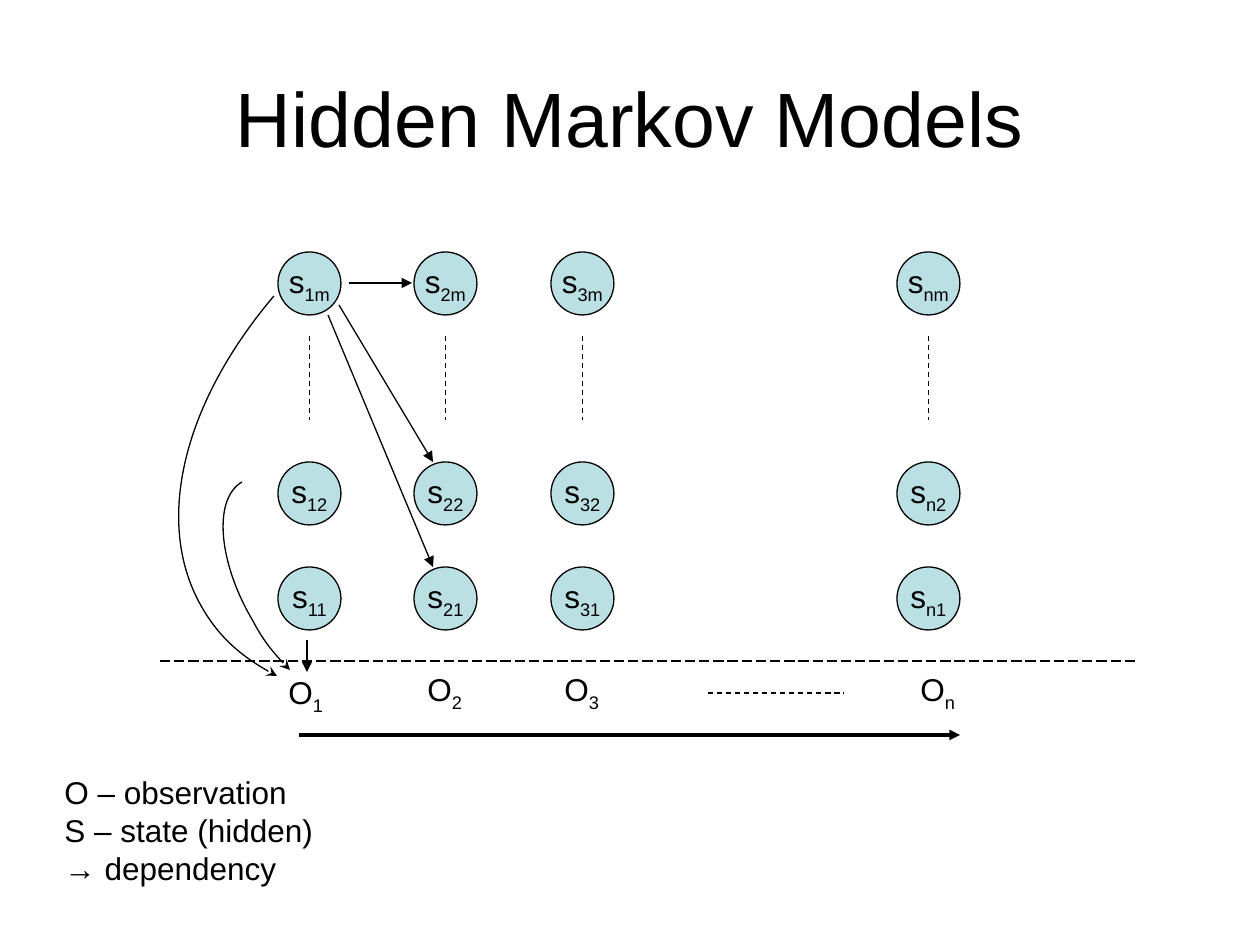
from lxml import etree
from pptx import Presentation
from pptx import util as u
from pptx.dml.color import RGBColor
from pptx.enum import dml, shapes, text
from pptx.oxml.ns import qn

SCALE = 914400 / 126  # EMU per px


def px(length):
    return u.Emu(round(length * SCALE))


def color(value):
    return RGBColor.from_string(value)


def write(paragraph, words, subscript="", size=18, font="Arial", ink="000000",
          align=text.PP_ALIGN.LEFT):
    """Write words and an optional subscript into a paragraph."""
    paragraph.alignment = align
    for part, baseline in ((words, None), (subscript, "-25000")):
        if not part:
            continue
        run = paragraph.add_run()
        run.text = part
        run.font.size = u.Pt(size)
        run.font.name = font
        run.font.color.rgb = color(ink)
        if baseline:
            run._r.get_or_add_rPr().set("baseline", baseline)


class Diagram:
    ink = "000000"
    state_fill = "BBE0E3"
    state_size = 63

    def __init__(self, slide):
        self.slide = slide

    def title(self, words, left, top, width, height):
        shape = self.slide.shapes.title
        shape.left, shape.top, shape.width, shape.height = map(
            px, (left, top, width, height))
        shape.text_frame.vertical_anchor = text.MSO_ANCHOR.MIDDLE
        write(shape.text_frame.paragraphs[0], words, size=44,
              align=text.PP_ALIGN.CENTER)

    def label(self, lines, left, top, width, height, subscript="", wrap=False):
        shape = self.slide.shapes.add_textbox(*map(px, (left, top, width, height)))
        frame = shape.text_frame
        frame.word_wrap = wrap
        frame.auto_size = text.MSO_AUTO_SIZE.NONE
        for index, line in enumerate(lines):
            paragraph = frame.add_paragraph() if index else frame.paragraphs[0]
            write(paragraph, line, subscript)

    def state(self, subscript, left, top):
        shape = self.slide.shapes.add_shape(
            shapes.MSO_SHAPE.OVAL,
            *map(px, (left, top, self.state_size, self.state_size)))
        shape.shadow.inherit = False
        shape.fill.solid()
        shape.fill.fore_color.rgb = color(self.state_fill)
        self.outline(shape)
        frame = shape.text_frame
        frame.word_wrap = False
        frame.vertical_anchor = text.MSO_ANCHOR.MIDDLE
        write(frame.paragraphs[0], "s", subscript, align=text.PP_ALIGN.CENTER)

    def outline(self, shape, width=0.75, dash=None, **ends):
        shape.line.color.rgb = color(self.ink)
        shape.line.width = u.Pt(width)
        if dash:
            shape.line.dash_style = dash
        line = shape._element.spPr.find(qn("a:ln"))
        for end, kind in ends.items():
            etree.SubElement(line, qn(f"a:{end}"), type=kind)

    def line(self, x1, y1, x2, y2, **style):
        connector = self.slide.shapes.add_connector(
            shapes.MSO_CONNECTOR.STRAIGHT, *map(px, (x1, y1, x2, y2)))
        self.outline(connector, **style)
        etree.SubElement(connector._element.spPr, qn("a:effectLst"))

    def arrow(self, x1, y1, x2, y2, width=0.75):
        self.line(x1, y1, x2, y2, width=width, tailEnd="triangle")

    def curve(self, start, *controls):
        """Draw cubic Bezier segments with an arrowhead at the start."""
        builder = self.slide.shapes.build_freeform(*start, scale=SCALE)
        builder.add_line_segments(controls, close=False)
        shape = builder.convert_to_shape()
        shape.shadow.inherit = False
        shape.fill.background()
        # Each three line segments become one cubic segment
        segments = list(shape._element.spPr.iter(qn("a:lnTo")))
        for first in range(0, len(segments), 3):
            cubic = etree.Element(qn("a:cubicBezTo"))
            segments[first].addprevious(cubic)
            for segment in segments[first:first + 3]:
                cubic.append(segment[0])
                segment.getparent().remove(segment)
        self.outline(shape, headEnd="stealth")


def main():
    presentation = Presentation()
    presentation.slide_width, presentation.slide_height = px(1260), px(945)
    slide = presentation.slides.add_slide(presentation.slide_layouts[5])
    diagram = Diagram(slide)
    dash = dml.MSO_LINE.DASH

    diagram.title("Hidden Markov Models", 63, 38, 1134, 158)
    diagram.label(["O – observation", "S – state (hidden)", "→ dependency"],
                  52, 767, 294, 126, wrap=True)

    # One column of states and one observation per time step
    steps = (("1", 278, 276, 667), ("2", 414, 415, 664),
             ("3", 551, 552, 664), ("n", 897, 908, 664))
    rows = (("1", 567), ("2", 462), ("m", 252))
    for step, left, label_left, label_top in steps:
        diagram.label(["O"], label_left, label_top, 62, 55, subscript=step)
        for row, top in rows:
            diagram.state(step + row, left, top)
        center = left + diagram.state_size / 2
        diagram.line(center, 336, center, 420, dash=dash)

    # Omitted steps, border between hidden and observed, time axis
    diagram.line(708, 693, 844, 693, dash=dash)
    diagram.line(160, 661, 1136, 661, dash=dml.MSO_LINE.LONG_DASH)
    diagram.arrow(299, 735, 960, 735, width=2)

    # Dependencies of the first observation
    diagram.curve((290, 670), (276, 656), (263, 640), (253, 621),
                  (218, 562), (213, 499), (242, 482))
    diagram.curve((277, 676), (246, 660), (220, 638), (203, 609),
                  (154, 527), (180, 407), (274, 296))
    diagram.arrow(307, 640, 307, 672)

    # Transitions from the first step to the second
    diagram.arrow(349, 283, 412, 283)
    diagram.arrow(339, 305, 433, 462)
    diagram.arrow(328, 315, 433, 567)

    presentation.save("out.pptx")


if __name__ == "__main__":
    main()
